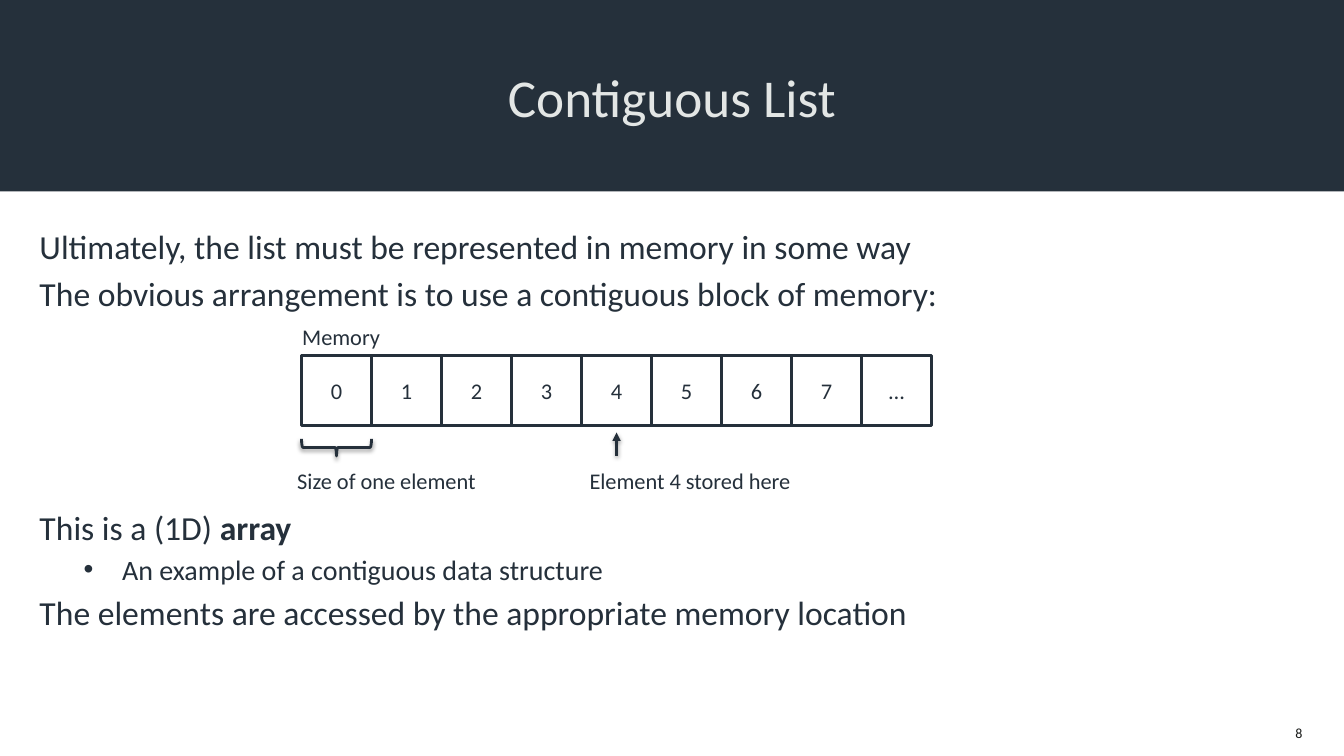
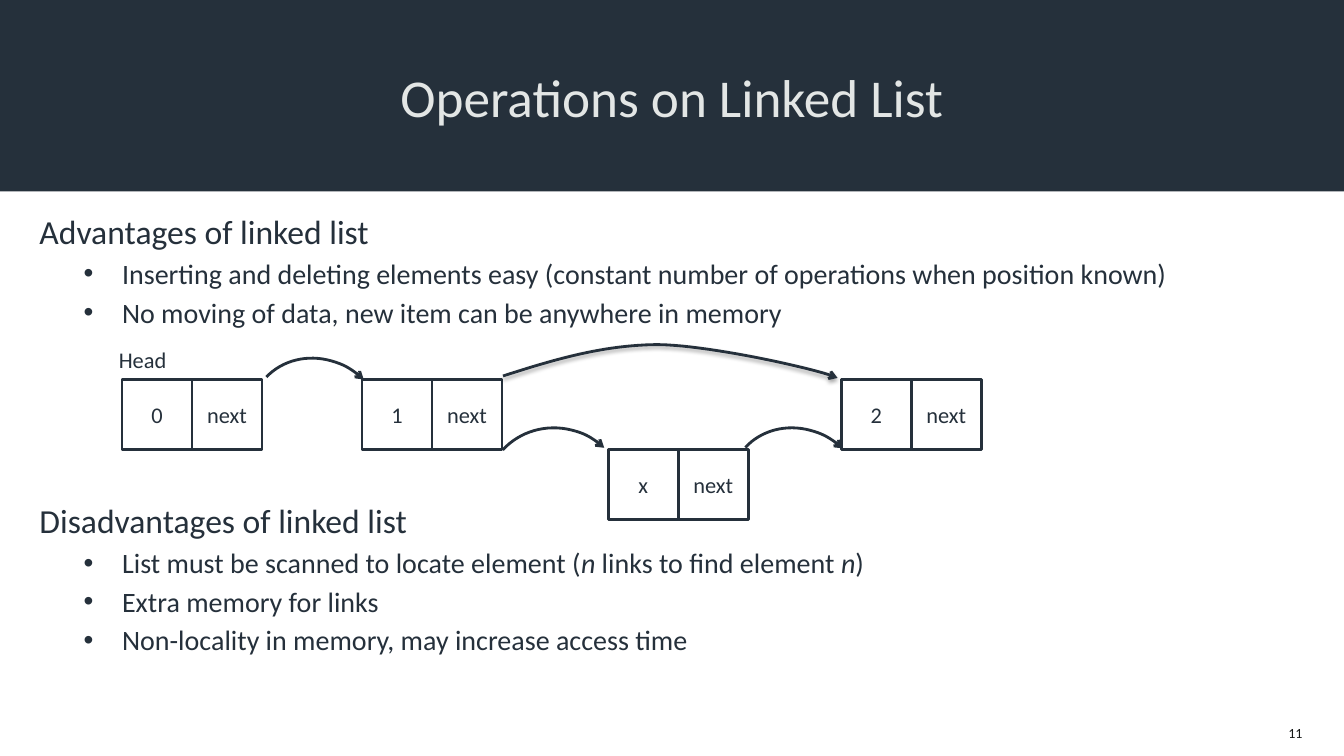
from dataclasses import dataclass
from typing import Any, Optional

from lxml.etree import SubElement
from pptx import Presentation
from pptx.dml.color import RGBColor
from pptx.enum.shapes import MSO_CONNECTOR, MSO_SHAPE
from pptx.enum.text import MSO_ANCHOR, PP_ALIGN
from pptx.oxml.ns import qn
from pptx.util import Pt


# Theme: colours, type sizes and shared measures (points)
@dataclass(frozen=True)
class Theme:
    dark: RGBColor = RGBColor(0x25, 0x30, 0x3B)
    light: RGBColor = RGBColor(0xE3, 0xE6, 0xE5)
    white: RGBColor = RGBColor(0xFF, 0xFF, 0xFF)
    footer: RGBColor = RGBColor(0x16, 0x18, 0x17)
    font: str = "Calibri"
    title_size: float = 38
    level_sizes: tuple[float, float] = (24, 20)
    label_size: float = 16
    footer_size: float = 10
    line_width: float = 2
    paragraph_gap: float = 0.18  # share of the type size


THEME = Theme()
SLIDE_WIDTH, SLIDE_HEIGHT = 960, 540
CELL = 50
BULLET_INDENT, BULLET_HANG = 59, 27.4


@dataclass(frozen=True)
class Box:
    left: float
    top: float
    width: float
    height: float

    def lengths(self) -> tuple[Pt, ...]:
        return tuple(Pt(value) for value in (self.left, self.top, self.width, self.height))


@dataclass(frozen=True)
class Span:
    text: str
    bold: bool = False
    italic: bool = False


@dataclass(frozen=True)
class Line:
    spans: tuple[Span, ...]
    level: int = 0
    gap: float = 0  # room left for a diagram above the line


@dataclass(frozen=True)
class Label:
    text: str
    box: Box


@dataclass(frozen=True)
class Node:
    value: str
    left: float
    top: float


@dataclass(frozen=True)
class Arc:
    box: Box
    rotation: float


def line(*parts: str | Span, level: int = 0, gap: float = 0) -> Line:
    spans = tuple(part if isinstance(part, Span) else Span(part) for part in parts)
    return Line(spans, level, gap)


# Formatting helpers
def apply(target: Any, values: dict[str, Any]) -> None:
    for name, value in values.items():
        setattr(target, name, value)


def add_run(paragraph: Any, span: Span, size: float, color: RGBColor) -> None:
    run = paragraph.add_run()
    run.text = span.text
    apply(run.font, {"name": THEME.font, "size": Pt(size), "bold": span.bold, "italic": span.italic})
    run.font.color.rgb = color


def write(shape: Any, text: str, size: float, color: RGBColor, align: PP_ALIGN,
          frame_format: dict[str, Any]) -> None:
    apply(shape.text_frame, frame_format)
    paragraph = shape.text_frame.paragraphs[0]
    paragraph.alignment = align
    add_run(paragraph, Span(text), size, color)


def stroke(shape: Any, arrowhead: Optional[str] = None) -> None:
    shape.line.color.rgb = THEME.dark
    shape.line.width = Pt(THEME.line_width)
    if arrowhead:
        SubElement(shape._element.spPr.find(qn("a:ln")), qn("a:tailEnd"), type=arrowhead)


def cast_shadow(shape: Any, percent: int) -> None:
    properties = shape._element.spPr
    effects = properties.find(qn("a:effectLst"))
    if effects is None:
        effects = SubElement(properties, qn("a:effectLst"))
    shadow = SubElement(effects, qn("a:outerShdw"), blurRad=str(Pt(3.1)), dist=str(Pt(1.7)),
                        dir="5400000", rotWithShape="0")
    color = SubElement(shadow, qn("a:srgbClr"), val="000000")
    SubElement(color, qn("a:alpha"), val=str(percent * 1000))


# Building blocks
def add_shape(slide: Any, kind: MSO_SHAPE, box: Box, fill: Optional[RGBColor] = None) -> Any:
    shape = slide.shapes.add_shape(kind, *box.lengths())
    shape.shadow.inherit = False
    if fill is None:
        shape.fill.background()
    else:
        shape.fill.solid()
        shape.fill.fore_color.rgb = fill
        shape.line.fill.background()
    return shape


def add_cell(slide: Any, text: str, left: float, top: float) -> None:
    cell = add_shape(slide, MSO_SHAPE.RECTANGLE, Box(left, top, CELL, CELL))
    stroke(cell)
    write(cell, text, THEME.label_size, THEME.dark, PP_ALIGN.CENTER,
          {"vertical_anchor": MSO_ANCHOR.MIDDLE})


def add_cells(slide: Any, texts: list[str], left: float, top: float) -> None:
    for index, text in enumerate(texts):
        add_cell(slide, text, left + index * CELL, top)


def add_label(slide: Any, label: Label) -> None:
    text_box = slide.shapes.add_textbox(*label.box.lengths())
    write(text_box, label.text, THEME.label_size, THEME.dark, PP_ALIGN.LEFT, {"word_wrap": False})


def add_arc(slide: Any, arc: Arc) -> None:
    shape = add_shape(slide, MSO_SHAPE.ARC, arc.box)
    shape.rotation = arc.rotation
    stroke(shape, "arrow")


def add_body(slide: Any, top: float, lines: list[Line]) -> None:
    body = add_shape(slide, MSO_SHAPE.RECTANGLE, Box(21.6, top, 874.8, 354.2), THEME.white)
    frame = body.text_frame
    apply(frame, {"word_wrap": True, "vertical_anchor": MSO_ANCHOR.TOP,
                  "margin_left": Pt(6.6), "margin_right": Pt(6.6),
                  "margin_top": Pt(3.2), "margin_bottom": Pt(3.2)})
    for index, item in enumerate(lines):
        paragraph = frame.add_paragraph() if index else frame.paragraphs[0]
        size = THEME.level_sizes[item.level]
        apply(paragraph, {"alignment": PP_ALIGN.LEFT, "level": item.level,
                          "space_before": Pt(size * THEME.paragraph_gap + item.gap)})
        if item.level:
            properties = paragraph._p.get_or_add_pPr()
            properties.set("marL", str(Pt(BULLET_INDENT)))
            properties.set("indent", str(-Pt(BULLET_HANG)))
            SubElement(properties, qn("a:buFont"), typeface="Arial")
            SubElement(properties, qn("a:buChar"), char="•")
        for span in item.spans:
            add_run(paragraph, span, size, THEME.dark)


def add_base_slide(presentation: Any, title: str, number: int) -> Any:
    slide = presentation.slides.add_slide(presentation.slide_layouts[6])
    page = slide.shapes.add_textbox(*Box(883.4, 514.1, 54, 19.4).lengths())
    write(page, str(number), THEME.footer_size, THEME.footer, PP_ALIGN.RIGHT, {"word_wrap": True})
    band = add_shape(slide, MSO_SHAPE.RECTANGLE, Box(0, 0, SLIDE_WIDTH, 136.8), THEME.dark)
    write(band, title, THEME.title_size, THEME.light, PP_ALIGN.CENTER,
          {"vertical_anchor": MSO_ANCHOR.MIDDLE, "word_wrap": True})
    return slide


# Curved link sampled along cubic segments
Point = tuple[float, float]


def cubic_points(start: Point, first: Point, second: Point, end: Point, steps: int = 24) -> list[Point]:
    points = []
    for step in range(1, steps + 1):
        t = step / steps
        weights = ((1 - t) ** 3, 3 * t * (1 - t) ** 2, 3 * t ** 2 * (1 - t), t ** 3)
        corners = (start, first, second, end)
        points.append((sum(w * x for w, (x, _) in zip(weights, corners)),
                       sum(w * y for w, (_, y) in zip(weights, corners))))
    return points


def add_curve(slide: Any, start: Point, segments: list[tuple[Point, Point, Point]]) -> None:
    points = [start]
    for segment in segments:
        points += cubic_points(points[-1], *segment)
    lengths = [(Pt(x), Pt(y)) for x, y in points]
    builder = slide.shapes.build_freeform(*lengths[0])
    builder.add_line_segments(lengths[1:], close=False)
    curve = builder.convert_to_shape()
    curve.shadow.inherit = False
    curve.fill.background()
    stroke(curve, "arrow")
    cast_shadow(curve, 35)


# Slides
def add_contiguous_list(presentation: Any) -> None:
    slide = add_base_slide(presentation, "Contiguous List", 8)
    add_body(slide, 158.4, [
        line("Ultimately, the list must be represented in memory in some way"),
        line("The obvious arrangement is to use a contiguous block of memory:"),
        line("This is a (1D) ", Span("array", bold=True), gap=134.4),
        line("An example of a contiguous data structure", level=1),
        line("The elements are accessed by the appropriate memory location"),
    ])
    left, top = 215.4, 254
    add_cells(slide, [*(str(index) for index in range(8)), "…"], left, top)
    for label in (Label("Memory", Box(208.8, 227.5, 70.6, 26.6)),
                  Label("Size of one element", Box(205.2, 330.5, 144, 26.6)),
                  Label("Element 4 stored here", Box(414, 330.5, 159.8, 26.6))):
        add_label(slide, label)

    # Brace under the first cell
    depth = 12.2
    brace = add_shape(slide, MSO_SHAPE.LEFT_BRACE,
                      Box(left + (CELL - depth) / 2, 294.6, depth, CELL))
    brace.rotation = 270
    stroke(brace)
    cast_shadow(brace, 38)

    # Pointer to element 4
    center = left + 4.5 * CELL
    pointer = slide.shapes.add_connector(MSO_CONNECTOR.STRAIGHT, Pt(center), Pt(325.5),
                                         Pt(center), Pt(308.9))
    stroke(pointer, "triangle")
    cast_shadow(pointer, 38)


def add_linked_list(presentation: Any) -> None:
    slide = add_base_slide(presentation, "Operations on Linked List", 11)
    add_body(slide, 147.6, [
        line("Advantages of linked list"),
        line("Inserting and deleting elements easy (constant number of operations when position known)",
             level=1),
        line("No moving of data, new item can be anywhere in memory", level=1),
        line("Disadvantages of linked list", gap=118.2),
        line("List must be scanned to locate element (", Span("n", italic=True),
             " links to find element ", Span("n", italic=True), ")", level=1),
        line("Extra memory for links", level=1),
        line("Non-locality in memory, may increase access time", level=1),
    ])
    top = 271.3
    for node in (Node("0", 87.2, top), Node("1", 258.6, top),
                 Node("2", 601, top), Node("x", 434.5, top + CELL)):
        add_cells(slide, [node.value, "next"], node.left, node.top)
    add_label(slide, Label("Head", Box(77.8, 243.4, 49, 26.6)))

    # Links between nodes
    for arc in (Arc(Box(180.7, 253.4, 93.6, 103), 313.7),
                Arc(Box(523.4, 303.1, 93.6, 103), 312.8),
                Arc(Box(347, 304.6, 100.8, 104.4), 312.8)):
        add_arc(slide, arc)
    add_curve(slide, (359.3, 268.6), [
        ((395.3, 257), (431.3, 246.2), (470.9, 246.2)),
        ((510.5, 247), (589, 265), (598.3, 270)),
    ])


def main() -> None:
    presentation = Presentation()
    apply(presentation, {"slide_width": Pt(SLIDE_WIDTH), "slide_height": Pt(SLIDE_HEIGHT)})
    add_contiguous_list(presentation)
    add_linked_list(presentation)
    presentation.save("out.pptx")


if __name__ == "__main__":
    main()
